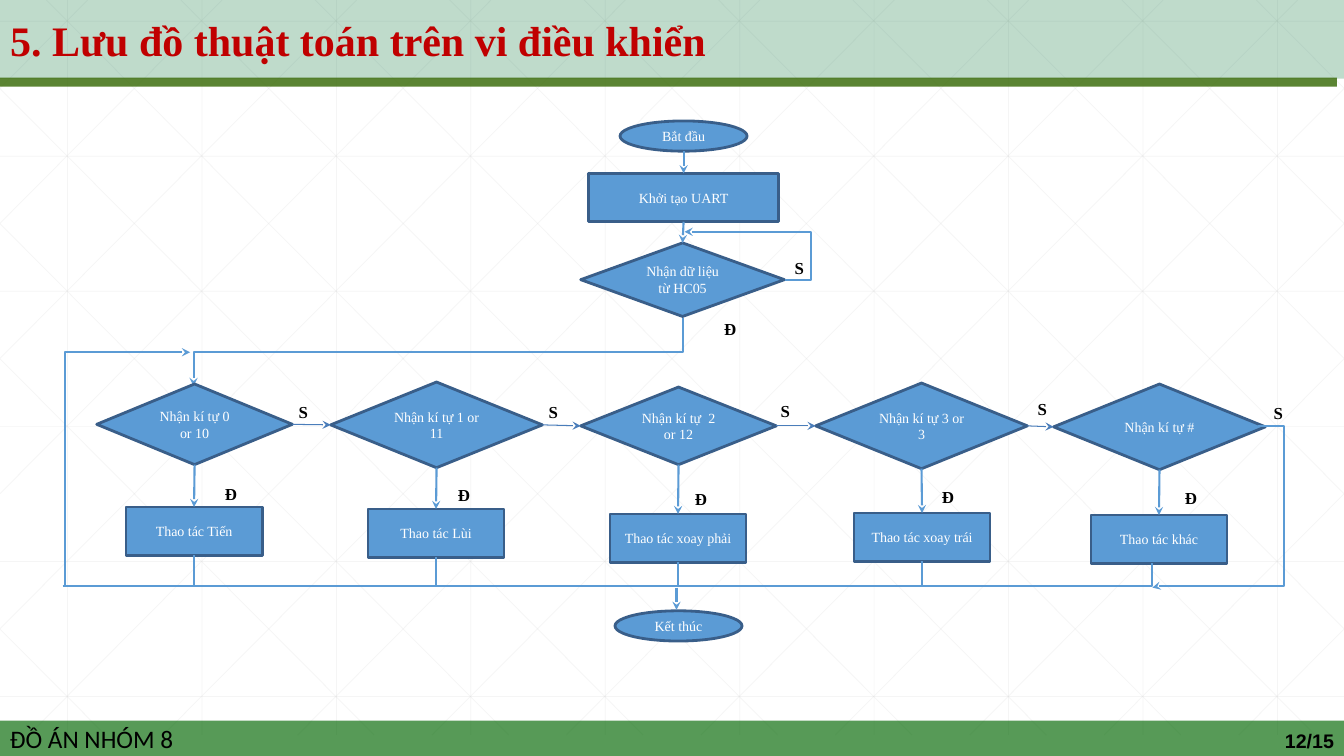
import pptx
import pptx.dml.color
import pptx.enum.shapes
import pptx.enum.text
import pptx.oxml
import pptx.oxml.ns
import pptx.util

Inches = pptx.util.Inches
Pt = pptx.util.Pt
RGBColor = pptx.dml.color.RGBColor
Shape = pptx.enum.shapes.MSO_SHAPE
Connector = pptx.enum.shapes.MSO_CONNECTOR
Align = pptx.enum.text.PP_ALIGN
Anchor = pptx.enum.text.MSO_ANCHOR
qn = pptx.oxml.ns.qn

WHITE = RGBColor(0xFF, 0xFF, 0xFF)
BLACK = RGBColor(0x00, 0x00, 0x00)
TITLE_RED = RGBColor(0xC0, 0x00, 0x00)
TITLE_GREEN = RGBColor(0x00, 0x70, 0x33)
RULE_GREEN = RGBColor(0x33, 0x66, 0x00)
FOOTER_GREEN = RGBColor(0x00, 0x66, 0x00)
GRID_GRAY = RGBColor(0xD9, 0xD9, 0xD9)
NODE_BLUE = RGBColor(0x5B, 0x9B, 0xD5)
NODE_EDGE = RGBColor(0x39, 0x5E, 0x89)
BRANCH_BLUE = RGBColor(0x4A, 0x7D, 0xBA)

SERIF = "Times New Roman"
NODE_TEXT = {"name": SERIF, "size": Pt(10), "bold": False}
LABEL_TEXT = {"name": SERIF, "size": Pt(12), "bold": True}
TITLE_TEXT = {"name": SERIF, "size": Pt(30), "bold": True}
FOOTER_TEXT = {"name": "Calibri", "size": Pt(18), "bold": False}
PAGE_TEXT = {"name": "Arial", "size": Pt(14), "bold": True}

WIDTH, HEIGHT = 13.33, 7.5
GRID_BOTTOM = 7.29
GRID_STEP = 4 / 3
TRUNK_Y = 5.81
TOP, LEFT, BOTTOM, RIGHT = range(4)

# decision text, decision box, action text, action corner, "Đ" corner, "S" corner
BRANCHES = [
    ("Nhận kí tự 0 or 10", (0.96, 3.81, 1.94, 0.8),
     "Thao tác Tiến", (1.25, 5.03), (2.16, 4.75), (2.89, 3.94)),
    ("Nhận kí tự 1 or 11", (3.28, 3.79, 2.1, 0.85),
     "Thao tác Lùi", (3.65, 5.05), (4.47, 4.76), (5.37, 3.94)),
    ("Nhận kí tự  2 or 12", (5.76, 3.84, 1.94, 0.77),
     "Thao tác xoay phải", (6.05, 5.1), (6.82, 4.8), (7.67, 3.93)),
    ("Nhận kí tự 3 or 3", (8.09, 3.8, 2.1, 0.85),
     "Thao tác xoay trái", (8.47, 5.09), (9.27, 4.78), (10.22, 3.91)),
    ("Nhận kí tự #", (10.45, 3.81, 2.1, 0.85),
     "Thao tác khác", (10.82, 5.11), (11.68, 4.79), (12.56, 3.95)),
]


class FlowchartSlide:
    def __init__(self, presentation):
        self.slide = presentation.slides.add_slide(presentation.slide_layouts[5])
        self.shapes = self.slide.shapes

    def set_alpha(self, shape, percent):
        color = shape._element.spPr.find(".//" + qn("a:srgbClr"))
        color.append(pptx.oxml.parse_xml(
            f'<a:alpha {pptx.oxml.ns.nsdecls("a")} val="{percent * 1000}"/>'))

    def fill_text(self, shape, text, style, color, align=Align.LEFT,
                  anchor=Anchor.MIDDLE, wrap=True):
        frame = shape.text_frame
        frame_format = {"word_wrap": wrap, "vertical_anchor": anchor,
                        "margin_left": Inches(0.1), "margin_right": Inches(0.1),
                        "margin_top": Inches(0.05), "margin_bottom": Inches(0.05)}
        for name, value in frame_format.items():
            setattr(frame, name, value)
        paragraph = frame.paragraphs[0]
        paragraph.alignment = align
        run = paragraph.add_run()
        run.text = text
        for name, value in style.items():
            setattr(run.font, name, value)
        run.font.color.rgb = color

    def title(self, text, box):
        """Place the title as a translucent band above the shapes drawn so far."""
        shape = self.shapes.title
        for name, value in zip(("left", "top", "width", "height"), box):
            setattr(shape, name, Inches(value))
        shape.fill.solid()
        shape.fill.fore_color.rgb = TITLE_GREEN
        self.set_alpha(shape, 25)
        self.fill_text(shape, text, TITLE_TEXT, TITLE_RED)
        self.shapes._spTree.append(shape._element)

    def add_filled(self, kind, box, color):
        shape = self.shapes.add_shape(kind, *map(Inches, box))
        shape.shadow.inherit = False
        shape.fill.solid()
        shape.fill.fore_color.rgb = color
        return shape

    def band(self, box, color, alpha):
        shape = self.add_filled(Shape.RECTANGLE, box, color)
        shape.line.fill.background()
        self.set_alpha(shape, alpha)
        return shape

    def node(self, kind, text, box):
        shape = self.add_filled(kind, box, NODE_BLUE)
        shape.line.color.rgb = NODE_EDGE
        shape.line.width = Pt(2)
        self.fill_text(shape, text, NODE_TEXT, WHITE, Align.CENTER)
        return shape

    def text(self, text, box, style, align, wrap=True):
        shape = self.shapes.add_textbox(*map(Inches, box))
        self.fill_text(shape, text, style, BLACK, align, Anchor.TOP, wrap)

    def label(self, text, corner):
        self.text(text, (*corner, 0.17, 0.3), LABEL_TEXT, Align.CENTER, False)

    def line(self, start, end, color=NODE_BLUE, width=1.5, arrow=False,
             kind=Connector.STRAIGHT, begin_at=None, end_at=None):
        """Draw a line; begin_at and end_at are (shape, side) joints."""
        connector = self.shapes.add_connector(kind, *map(Inches, (*start, *end)))
        connector.line.color.rgb = color
        connector.line.width = Pt(width)
        properties = connector._element.spPr
        namespace = pptx.oxml.ns.nsdecls("a")
        if arrow:
            properties.find(qn("a:ln")).append(
                pptx.oxml.parse_xml(f'<a:tailEnd {namespace} type="stealth"/>'))
        properties.append(pptx.oxml.parse_xml(f"<a:effectLst {namespace}/>"))
        if begin_at:
            connector.begin_connect(*begin_at)
        if end_at:
            connector.end_connect(*end_at)
        return connector

    def elbow(self, preset, box, flips="", rotation=0, bends=(), arrow=True):
        """Draw a bent line in an unrotated box; bends are fractions of it."""
        left, top, width, height = box
        connector = self.line((left, top), (left + width, top + height),
                              arrow=arrow, kind=Connector.ELBOW)
        properties = connector._element.spPr
        transform = properties.find(qn("a:xfrm"))
        for flip in flips:
            transform.set("flip" + flip, "1")
        if rotation:
            transform.set("rot", str(rotation * 60000))
        geometry = properties.find(qn("a:prstGeom"))
        geometry.set("prst", preset)
        for number, bend in enumerate(bends, 1):
            geometry.find(qn("a:avLst")).append(pptx.oxml.parse_xml(
                f'<a:gd {pptx.oxml.ns.nsdecls("a")} name="adj{number}" '
                f'fmla="val {round(bend * 100000)}"/>'))

    def grid_line(self, start, end):
        self.set_alpha(self.line(start, end, GRID_GRAY, 0.5), 25)

    def grid(self):
        for column in range(10):
            x = 0.67 + column * GRID_STEP
            self.grid_line((x, 0), (x, GRID_BOTTOM))
        for row in range(6):
            y = 0.21 + row * 1.34
            self.grid_line((0, y), (WIDTH, y))
        run = 7.25
        slope = GRID_BOTTOM / run
        for step in range(-5, 10):
            x = 0.46 + step * GRID_STEP
            start, end = max(x, 0), min(x + run, WIDTH)
            start_y, end_y = (start - x) * slope, (end - x) * slope
            if step != -4:
                self.grid_line((start, start_y), (end, end_y))
            self.grid_line((WIDTH - start, start_y), (WIDTH - end, end_y))


def draw_start(chart):
    chart.node(Shape.OVAL, "Bắt đầu", (6.15, 1.2, 1.26, 0.3))
    setup = chart.node(Shape.RECTANGLE, "Khởi tạo UART", (5.84, 1.72, 1.88, 0.48))
    receive = chart.node(Shape.DIAMOND, "Nhận dữ liệu từ HC05", (5.76, 2.41, 2.02, 0.73))
    chart.line((6.78, 1.5), (6.78, 1.72), arrow=True, end_at=(setup, TOP))
    chart.line((6.78, 2.2), (6.78, 2.41), arrow=True,
               begin_at=(setup, BOTTOM), end_at=(receive, TOP))
    chart.elbow("bentConnector3", (6.79, 2.3, 1, 0.48), "HV", bends=[-0.25])
    chart.elbow("bentConnector3", (4.01, 1.07, 0.67, 4.85), rotation=90, bends=[0.5])
    chart.label("S", (7.81, 2.51))
    chart.label("Đ", (7.11, 3.11))


def draw_branches(chart):
    previous = None
    for question, box, task, corner, yes, no in BRANCHES:
        decision = chart.node(Shape.DIAMOND, question, box)
        action = chart.node(Shape.RECTANGLE, task, (*corner, 1.35, 0.48))
        chart.line((0, 0), (1, 1), arrow=True,
                   begin_at=(decision, BOTTOM), end_at=(action, TOP))
        if previous:
            chart.line((0, 0), (1, 1), BRANCH_BLUE, 0.75, True,
                       begin_at=(previous, RIGHT), end_at=(decision, LEFT))
        if question != BRANCHES[-1][0]:
            x = corner[0] + 1.35 / 2
            chart.line((x, corner[1] + 0.48), (x, TRUNK_Y), begin_at=(action, BOTTOM))
        chart.label("Đ", yes)
        chart.label("S", no)
        previous = decision


def draw_end(chart):
    chart.elbow("bentConnector4", (11.43, 4.23, 1.05, 1.6), "H", bends=[-0.24, 0.99])
    chart.elbow("bentConnector3", (0.11, 4.03, 2.31, 1.24), "HV", 90, [1])
    chart.elbow("bentConnector2", (0.62, 5.59, 10.81, 0.22), "V", arrow=False)
    chart.node(Shape.OVAL, "Kết thúc", (6.1, 6.06, 1.26, 0.3))
    chart.line((6.71, 5.83), (6.71, 6.05), arrow=True)


def main():
    presentation = pptx.Presentation()
    presentation.slide_width = Inches(WIDTH)
    presentation.slide_height = Inches(HEIGHT)
    chart = FlowchartSlide(presentation)
    chart.grid()
    footer = chart.band((0, 7.15, WIDTH, 0.36), FOOTER_GREEN, 66)
    chart.fill_text(footer, "ĐỒ ÁN NHÓM 8", FOOTER_TEXT, BLACK)
    chart.title("5. Lưu đồ thuật toán trên vi điều khiển", (0, 0, WIDTH, 0.78))
    chart.band((-0.07, 0.77, WIDTH, 0.09), RULE_GREEN, 80)
    draw_start(chart)
    draw_branches(chart)
    draw_end(chart)
    chart.text("12/15", (10.33, 7.18, 3, 0.4), PAGE_TEXT, Align.RIGHT)
    presentation.save("out.pptx")


if __name__ == "__main__":
    main()
